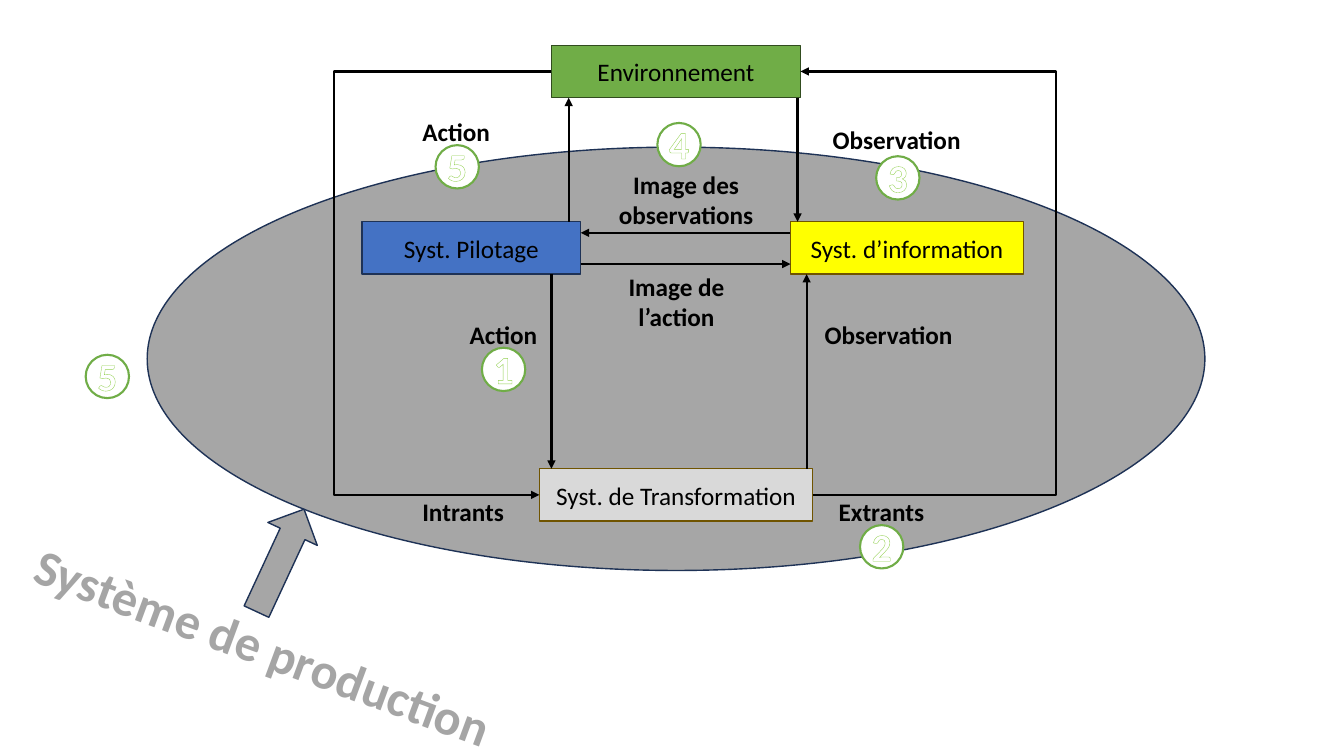
from lxml import etree
from pptx import Presentation
from pptx.dml.color import RGBColor
from pptx.enum.shapes import MSO_CONNECTOR, MSO_SHAPE
from pptx.enum.text import MSO_ANCHOR, MSO_AUTO_SIZE, PP_ALIGN
from pptx.oxml.ns import qn
from pptx.util import Inches, Pt

RECTANGLE, OVAL, RIGHT_ARROW = MSO_SHAPE.RECTANGLE, MSO_SHAPE.OVAL, MSO_SHAPE.RIGHT_ARROW
STRAIGHT, ELBOW = MSO_CONNECTOR.STRAIGHT, MSO_CONNECTOR.ELBOW
LEFT, CENTER = PP_ALIGN.LEFT, PP_ALIGN.CENTER
MIDDLE, GROW = MSO_ANCHOR.MIDDLE, MSO_AUTO_SIZE.SHAPE_TO_FIT_TEXT

FONT = "Calibri"
COLORS = {
    "black": "000000", "white": "FFFFFF", "gray": "A6A6A6", "title": "A5A5A5",
    "light": "D9D9D9", "green": "70AD47", "blue": "4472C4", "yellow": "FFFF00",
    "navy": "1E3256", "forest": "314C1F", "brown": "705400", "lime": "92D050",
}
LEFT_SIDE, RIGHT_SIDE = 1, 3


def color(name):
    return RGBColor.from_string(COLORS[name])


def write_text(frame, text, size=18, ink="black", bold=False, align=CENTER, outline=None):
    """Fill a text frame, one paragraph per line of text."""
    for index, line in enumerate(text.split("\n")):
        paragraph = frame.paragraphs[0] if index == 0 else frame.add_paragraph()
        paragraph.alignment = align
        run = paragraph.add_run()
        run.text = line
        run.font.name, run.font.size, run.font.bold = FONT, Pt(size), bold
        run.font.color.rgb = color(ink)
        if outline:
            border = etree.Element(qn("a:ln"), w=str(Pt(0.8)))
            fill = etree.SubElement(border, qn("a:solidFill"))
            etree.SubElement(fill, qn("a:srgbClr"), val=COLORS[outline])
            run.font._element.insert(0, border)


class Diagram:
    def __init__(self, slide):
        self.slide = slide

    def shape(self, kind, left, top, width, height, fill, line, weight=1, parent=None):
        shapes = (parent or self.slide).shapes
        shape = shapes.add_shape(kind, Inches(left), Inches(top), Inches(width), Inches(height))
        shape.shadow.inherit = False
        shape.fill.solid()
        shape.fill.fore_color.rgb = color(fill)
        shape.line.color.rgb = color(line)
        shape.line.width = Pt(weight)
        return shape

    def system(self, text, left, top, width, fill, line):
        shape = self.shape(RECTANGLE, left, top, width, 0.52, fill, line)
        shape.text_frame.vertical_anchor = MIDDLE
        write_text(shape.text_frame, text)
        return shape

    def label(self, text, left, top, width, height=0.4, parent=None, **text_format):
        shapes = (parent or self.slide).shapes
        box = shapes.add_textbox(Inches(left), Inches(top), Inches(width), Inches(height))
        box.text_frame.word_wrap = False
        box.text_frame.auto_size = GROW
        write_text(box.text_frame, text, bold=True, **text_format)
        return box

    def badge(self, number, left, top):
        group = self.slide.shapes.add_group_shape()
        self.shape(OVAL, left, top, 0.43, 0.43, "white", "green", 1.5, parent=group)
        self.label(number, left + 0.015, top - 0.08, 0.4, 0.57, parent=group,
                   size=28, ink="white", outline="lime")

    def arrow(self, x1, y1, x2, y2, kind=STRAIGHT):
        connector = self.slide.shapes.add_connector(
            kind, Inches(x1), Inches(y1), Inches(x2), Inches(y2))
        connector.line.color.rgb = color("black")
        connector.line.width = Pt(1.5)
        etree.SubElement(connector.line._get_or_add_ln(), qn("a:tailEnd"), type="triangle")
        etree.SubElement(connector._element.spPr, qn("a:effectLst"))
        return connector

    def loop(self, source, target, side, rail):
        """Join the same side of two boxes by way of a vertical rail."""
        connector = self.arrow(0, 0, 1, 1, ELBOW)
        connector.begin_connect(source, side)
        connector.end_connect(target, side)
        start, end = connector.begin_x, connector.end_x
        ratio = round((Inches(rail) - start) / (end - start) * 100000)
        geometry = connector._element.spPr.find(qn("a:prstGeom"))
        guides = geometry.find(qn("a:avLst"))
        etree.SubElement(guides, qn("a:gd"), name="adj1", fmla=f"val {ratio}")


def main():
    presentation = Presentation()
    presentation.slide_width, presentation.slide_height = Inches(13.33), Inches(7.5)
    slide = presentation.slides.add_slide(presentation.slide_layouts[6])
    diagram = Diagram(slide)

    # Production system and its four boxes
    diagram.shape(OVAL, 1.46, 1.46, 10.49, 4.2, "gray", "navy")
    environment = diagram.system("Environnement", 5.47, 0.45, 2.47, "green", "forest")
    diagram.system("Syst. Pilotage", 3.59, 2.2, 2.17, "blue", "navy")
    diagram.system("Syst. d’information", 7.84, 2.2, 2.31, "yellow", "brown")
    transformation = diagram.system("Syst. de Transformation", 5.35, 4.65, 2.71, "light", "brown")

    # Flows between the boxes
    diagram.loop(environment, transformation, LEFT_SIDE, 3.31)
    diagram.loop(transformation, environment, RIGHT_SIDE, 10.47)
    for ends in [
        (5.64, 2.2, 5.64, 0.97), (7.91, 0.97, 7.91, 2.2),
        (5.76, 2.62, 7.84, 2.62), (7.84, 2.31, 5.76, 2.31),
        (5.47, 2.72, 5.47, 4.65), (8, 4.65, 8, 2.72),
    ]:
        diagram.arrow(*ends)

    # Tilted title and its block arrow
    pointer = diagram.shape(RIGHT_ARROW, 2.22, 5.29, 1.12, 0.54, "gray", "navy")
    pointer.rotation = 294.9
    title = diagram.label("Système de production", 0.1, 6.06, 5.02, 0.71, size=36, ink="title")
    title.rotation = 20.3

    # Flow labels
    for text, left, top, width in [
        ("Intrants", 4.09, 4.87, 1.03), ("Extrants", 8.22, 4.87, 1.06),
        ("Observation", 8.08, 3.12, 1.49), ("Action", 4.56, 3.12, 0.88),
        ("Observation", 8.16, 1.18, 1.49), ("Action", 4.09, 1.11, 0.88),
    ]:
        diagram.label(text, left, top, width, align=LEFT)
    diagram.label("Image des\nobservations", 6.03, 1.63, 1.55, 0.71)
    diagram.label("Image de\nl’action", 6.13, 2.64, 1.16, 0.71)

    # Numbered badges
    for number, left, top in [
        ("1", 4.78, 3.45), ("2", 8.53, 5.21), ("3", 8.69, 1.55),
        ("4", 6.52, 1.22), ("5", 4.32, 1.44), ("5", 0.85, 3.52),
    ]:
        diagram.badge(number, left, top)

    presentation.save("out.pptx")


if __name__ == "__main__":
    main()
